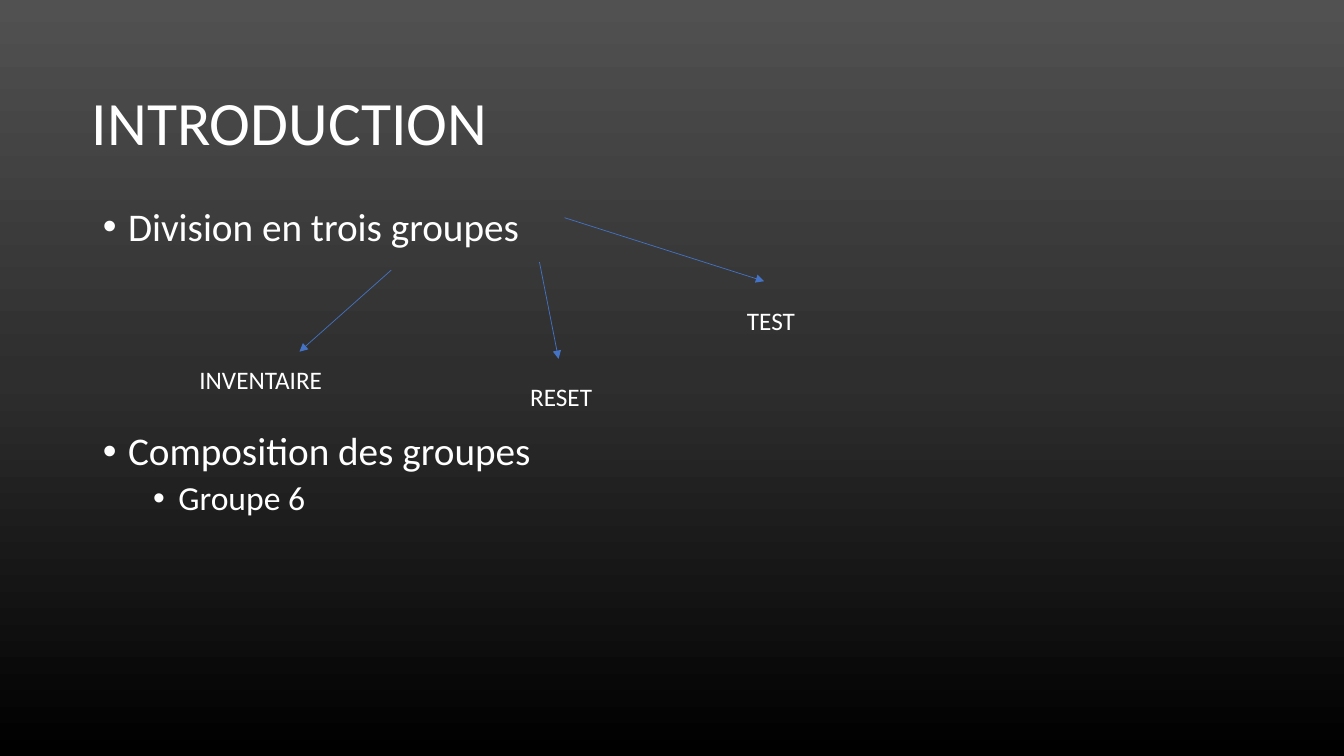
from copy import deepcopy

from lxml.etree import SubElement
from pptx import Presentation
from pptx.dml.color import RGBColor
from pptx.enum.shapes import MSO_CONNECTOR as Connector
from pptx.enum.text import MSO_ANCHOR as Anchor, MSO_AUTO_SIZE as AutoSize, PP_ALIGN as Align
from pptx.oxml.ns import qn
from pptx.util import Inches, Pt

deck = Presentation()
deck.slide_width, deck.slide_height = Inches(13.33), Inches(7.5)
slide = deck.slides.add_slide(deck.slide_layouts[1])
color = RGBColor.from_string


def share(x, y):
    return int(deck.slide_width * x / 100), int(deck.slide_height * y / 100)


def write(paragraph, wording, size):
    run = paragraph.add_run()
    run.text = wording
    run.font.name = "Calibri"
    run.font.size = Pt(size)
    run.font.color.rgb = color("FFFFFF")


backdrop = slide.background.fill
backdrop.gradient()
backdrop.gradient_angle = 270
stops = slide.element.find(".//" + qn("a:gsLst"))
stops.append(deepcopy(stops[-1]))
shades = [(0, "515151"), (0.5, "2E2E2E"), (1, "000000")]
for stop, (position, shade) in zip(backdrop.gradient_stops, shades):
    stop.position = position
    stop.color.rgb = color(shade)

heading = slide.shapes.title
heading.left, heading.top = share(6.08, 10.4)
heading.width, heading.height = share(39.23, 11.2)
heading.text_frame.vertical_anchor = Anchor.TOP
heading.text_frame.auto_size = AutoSize.NONE
heading_line = heading.text_frame.paragraphs[0]
heading_line.alignment = Align.LEFT
write(heading_line, "INTRODUCTION", 44)

outline = slide.placeholders[1]
outline.left, outline.top = share(6.9, 26.8)
outline.width, outline.height = share(86.27, 63.47)
outline.text_frame.auto_size = AutoSize.NONE
points = [
    ("Division en trois groupes", 0, 28, 10),
    ("Composition des groupes", 0, 28, 130),
    ("Groupe 6", 1, 24, 5),
]
for index, (wording, level, size, gap) in enumerate(points):
    point = outline.text_frame.paragraphs[0] if index == 0 else outline.text_frame.add_paragraph()
    point.level = level
    point.line_spacing = 0.9
    point.space_before = Pt(gap)
    layout = point._p.get_or_add_pPr()
    layout.set("marL", str(Inches(0.25 + 0.5 * level)))
    layout.set("indent", str(Inches(-0.25)))
    SubElement(layout, qn("a:buFont"), typeface="Arial")
    SubElement(layout, qn("a:buChar"), char="•")
    write(point, wording, size)

groups = [
    ("INVENTAIRE", (29.11, 35.73), (22.28, 46.53), (14.1, 47.47), 14.4),
    ("RESET", (40.14, 34.67), (41.56, 47.47), (38.71, 49.73), 7.43),
    ("TEST", (42.01, 28.8), (56.86, 37.2), (54.84, 39.73), 15.08),
]
for group, start, end, corner, width in groups:
    arrow = slide.shapes.add_connector(Connector.STRAIGHT, *share(*start), *share(*end))
    arrow.line.color.rgb = color("4472C4")
    arrow.line.width = Pt(0.5)
    SubElement(arrow.line._get_or_add_ln(), qn("a:tailEnd"), type="triangle")
    SubElement(arrow._element.spPr, qn("a:effectLst"))

    label = slide.shapes.add_textbox(*share(*corner), *share(width, 5.33))
    label.text_frame.word_wrap = True
    label.text_frame.auto_size = AutoSize.SHAPE_TO_FIT_TEXT
    write(label.text_frame.paragraphs[0], group, 18)

deck.save("out.pptx")
